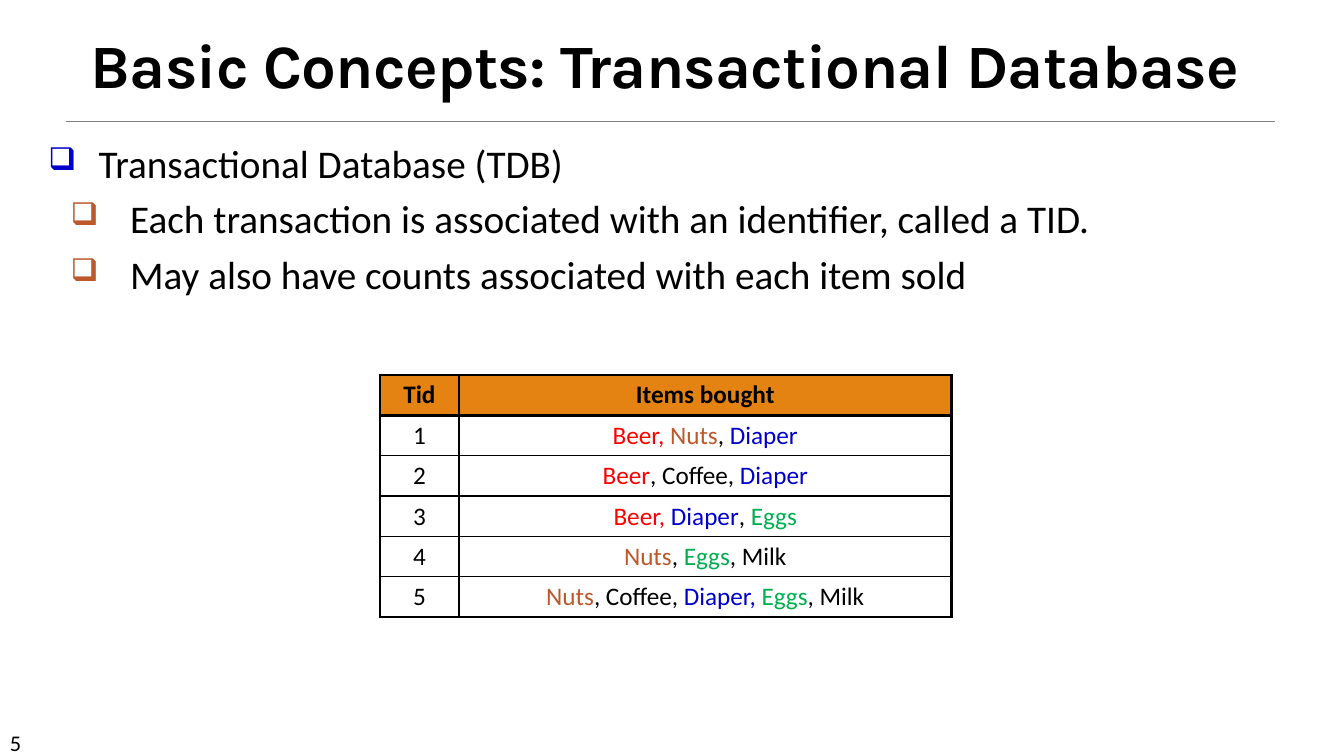
from lxml.etree import SubElement
from pptx import Presentation
from pptx.dml.color import RGBColor
from pptx.enum.text import MSO_ANCHOR, MSO_AUTO_SIZE, PP_ALIGN
from pptx.oxml import parse_xml
from pptx.oxml.ns import nsdecls, qn
from pptx.util import Pt

HEX = {
    "black": "000000", "gray": "808080", "orange": "E48312",
    "red": "FF0000", "brown": "BD582C", "blue": "0000CC", "green": "00B050",
}
HUES = {"Beer": "red", "Nuts": "brown", "Diaper": "blue", "Eggs": "green"}
POINTS = [
    (0, "Transactional Database (TDB)"),
    (1, "Each\u00a0transaction is associated with an identifier, called a TID."),
    (1, "May also have counts associated with each item sold"),
]
# Bullet colour, left margin and hanging indent of each level
LEVELS = [("blue", 36, 36), ("brown", 58.5, 42.5)]
BASKETS = [
    ["Beer, ", "Nuts", ", ", "Diaper"],
    ["Beer", ", Coffee, ", "Diaper"],
    ["Beer, ", "Diaper", ", ", "Eggs"],
    ["Nuts", ", ", "Eggs", ", Milk"],
    ["Nuts", ", Coffee, ", "Diaper, ", "Eggs", ", Milk"],
]
THICK, THIN = 2.25, 1


class Deck:
    """Holds the text style and the slide being built."""

    font, head = "Calibri", "Karla"

    def __init__(self):
        self.prs = Presentation()
        self.prs.slide_width, self.prs.slide_height = Pt(960), Pt(540)
        self.slide = self.prs.slides.add_slide(self.prs.slide_layouts[5])

    def style(self, font, size, bold=False, hue="black", name=None):
        font.name, font.size, font.bold = name or self.font, Pt(size), bold
        font.color.rgb = RGBColor.from_string(HEX[hue])

    def title(self, text, x, y, w, h):
        box = self.slide.shapes.title
        box.left, box.top, box.width, box.height = map(Pt, (x, y, w, h))
        frame = box.text_frame
        frame.text = text
        frame.auto_size = MSO_AUTO_SIZE.NONE
        frame.vertical_anchor = MSO_ANCHOR.BOTTOM
        para = frame.paragraphs[0]
        para.alignment, para.line_spacing = PP_ALIGN.CENTER, 0.85
        run = para.runs[0]
        self.style(run.font, 44, True, name=self.head)
        run._r.get_or_add_rPr().set("spc", "-50")

    def rule(self, x, y, end):
        line = self.slide.shapes.add_connector(1, Pt(x), Pt(y), Pt(end), Pt(y))
        line.line.color.rgb = RGBColor.from_string(HEX["gray"])
        line.line.width = Pt(0.5)
        SubElement(line._element.spPr, qn("a:effectLst"))

    def text(self, lines, size, x, y, w, h):
        box = self.slide.shapes.add_textbox(Pt(x), Pt(y), Pt(w), Pt(h))
        frame = box.text_frame
        frame.word_wrap = True
        frame.text = "\n".join(lines)
        for para in frame.paragraphs:
            self.style(para.runs[0].font, size)
        return frame.paragraphs

    def bullets(self, points, *area):
        paras = self.text([text for _, text in points], 28, *area)
        for i, (para, (level, _)) in enumerate(zip(paras, points)):
            hue, left, hang = LEVELS[level]
            para.level = level
            props = para._p.get_or_add_pPr()
            props.set("marL", str(Pt(left)))
            props.set("indent", str(-Pt(hang)))
            color = SubElement(props, qn("a:buClr"))
            SubElement(color, qn("a:srgbClr"), val=HEX[hue])
            SubElement(props, qn("a:buSzPct"), val="80000")
            SubElement(props, qn("a:buChar"), char="❑")
            if i:
                para.space_before = Pt(6)

    def cell(self, cell, parts, top, bottom, header):
        cell.margin_left = cell.margin_right = Pt(9.4)
        cell.margin_top = cell.margin_bottom = Pt(3.6)
        para = cell.text_frame.paragraphs[0]
        para.alignment = PP_ALIGN.CENTER
        for part in parts:
            run = para.add_run()
            run.text = part
            self.style(run.font, 18, header, HUES.get(part.strip(", "), "black"))
        if header:
            cell.fill.solid()
            cell.fill.fore_color.rgb = RGBColor.from_string(HEX["orange"])
        else:
            cell.fill.background()
        props = cell._tc.get_or_add_tcPr()
        sides = {"L": THICK, "R": THICK, "T": top, "B": bottom}
        for i, (side, width) in enumerate(sides.items()):
            props.insert(i, parse_xml(
                f'<a:ln{side} {nsdecls("a")} w="{Pt(width)}"><a:solidFill>'
                f'<a:srgbClr val="{HEX["black"]}"/></a:solidFill></a:ln{side}>'))

    def table(self, rows, widths, x, y, pitch):
        last = len(rows) - 1
        grid = self.slide.shapes.add_table(
            len(rows), len(widths), Pt(x), Pt(y),
            Pt(sum(widths)), Pt(pitch * len(rows))).table
        grid.first_row = grid.horz_banding = False
        for col, width in zip(grid.columns, widths):
            col.width = Pt(width)
        for r, row in enumerate(rows):
            top = THICK if r < 2 else THIN
            bottom = THICK if r in (0, last) else THIN
            for c, parts in enumerate(row):
                self.cell(grid.cell(r, c), parts, top, bottom, r == 0)


def main():
    deck = Deck()
    deck.rule(46.8, 86.6, 910.8)
    deck.text(["5"], 16, 0, 517, 84, 21.6)
    deck.title("Basic Concepts: Transactional Database", 27.4, 17.3, 895, 58.3)
    deck.bullets(POINTS, 27.4, 95.8, 898, 424)
    rows = [[["Tid"], ["Items bought"]]]
    rows += [[[str(tid)], items] for tid, items in enumerate(BASKETS, 1)]
    deck.table(rows, [56.4, 352], 271.4, 267.8, 28.8)
    deck.prs.save("out.pptx")


if __name__ == "__main__":
    main()
